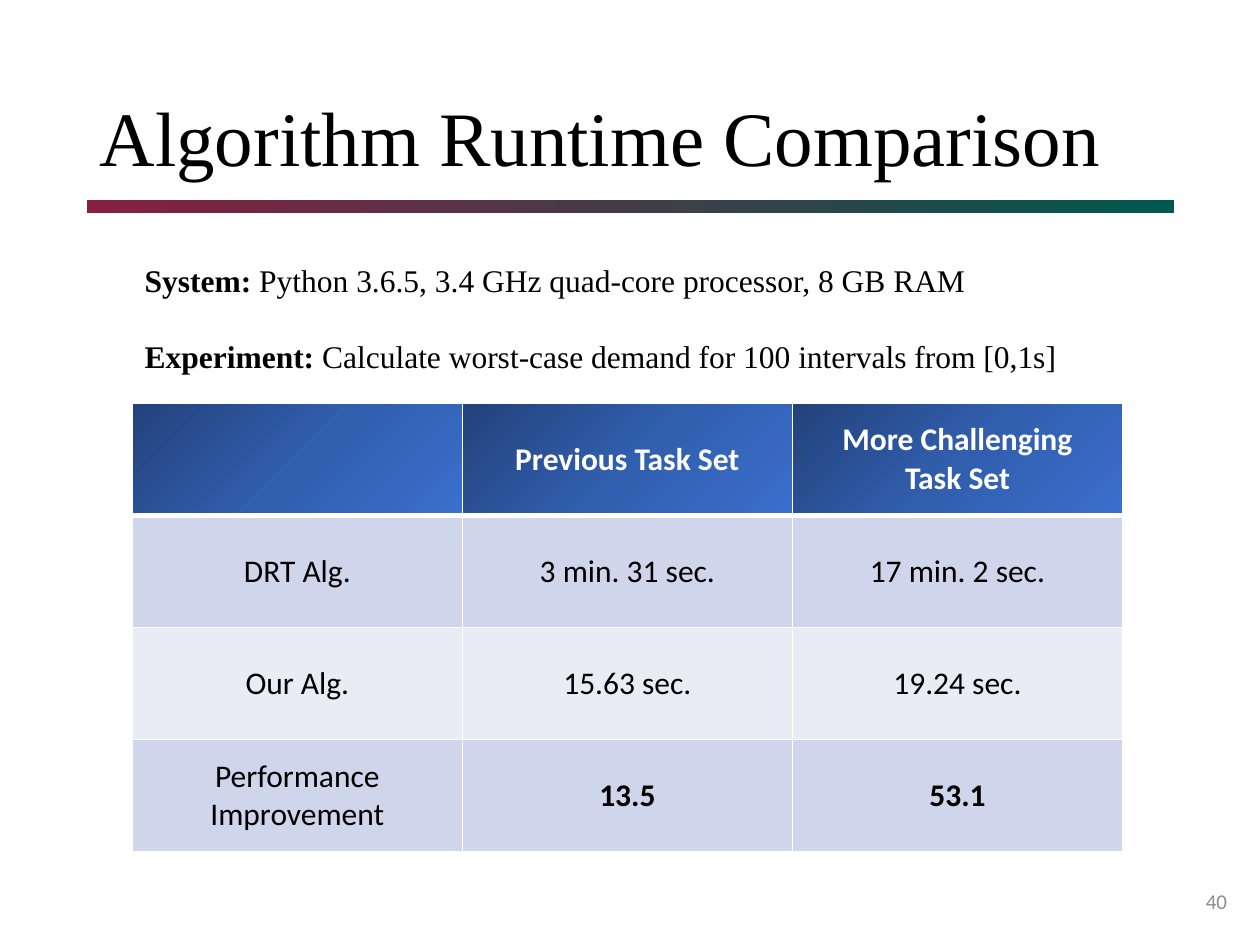
from copy import deepcopy

from lxml.etree import SubElement
from pptx import Presentation
from pptx.dml.color import RGBColor
from pptx.enum.shapes import MSO_SHAPE as Shape
from pptx.enum.text import MSO_ANCHOR as Anchor, MSO_AUTO_SIZE as AutoSize, PP_ALIGN as Align
from pptx.oxml.ns import qn
from pptx.util import Inches, Pt

BLACK = RGBColor(0x00, 0x00, 0x00)
WHITE = RGBColor(0xFF, 0xFF, 0xFF)
GRAY = RGBColor(0x8C, 0x8C, 0x8C)
BAR_COLORS = [RGBColor(0x86, 0x1F, 0x41), RGBColor(0x00, 0x59, 0x4F)]
HEADER_COLORS = [RGBColor(0x23, 0x42, 0x7A), RGBColor(0x31, 0x5E, 0xAD), RGBColor(0x3A, 0x6F, 0xCE)]
BAND_COLORS = [RGBColor(0xE9, 0xEB, 0xF5), RGBColor(0xCF, 0xD5, 0xEA)]
SERIF, SANS = "Times New Roman", "Calibri"

# Shared grid
MARGIN, CONTENT_LEFT = Inches(0.69), Inches(1.05)
COLUMN, ROW = Inches(2.62), Inches(0.89)


def set_gradient(fill, properties, colors, angle):
    """Spread the colours evenly; the angle runs counter-clockwise."""
    fill.gradient()
    fill.gradient_angle = angle
    stop_list = properties.find(".//" + qn("a:gsLst"))
    for _ in colors[2:]:
        stop_list.append(deepcopy(stop_list[-1]))
    for index, (stop, color) in enumerate(zip(fill.gradient_stops, colors)):
        stop.position = index / (len(colors) - 1)
        stop.color.rgb = color


def style_font(font, name, size, color, bold=False):
    font.name, font.size, font.bold = name, Pt(size), bold
    font.color.rgb = color


presentation = Presentation()
presentation.slide_width, presentation.slide_height = Inches(10), Inches(7.5)
slide = presentation.slides.add_slide(presentation.slide_layouts[5])

# Title
title = slide.shapes.title
title.left, title.top, title.width, title.height = MARGIN, Inches(0.4), Inches(8.62), Inches(1.45)
title.text_frame.text = "Algorithm Runtime Comparison"
title.text_frame.auto_size = AutoSize.NONE
title.text_frame.vertical_anchor = Anchor.MIDDLE
paragraph = title.text_frame.paragraphs[0]
paragraph.alignment = Align.LEFT
paragraph.line_spacing = 0.9
style_font(paragraph.runs[0].font, SERIF, 44, BLACK)

# Bar under the title
bar = slide.shapes.add_shape(Shape.RECTANGLE, MARGIN, Inches(1.59), Inches(8.63), Inches(0.1))
bar.shadow.inherit = False
bar.line.fill.background()
set_gradient(bar.fill, bar.element.spPr, BAR_COLORS, 0)

# Runtime table
rows = [
    ["", "Previous Task Set", "More Challenging\nTask Set"],
    ["DRT Alg.", "3 min. 31 sec.", "17 min. 2 sec."],
    ["Our Alg.", "15.63 sec.", "19.24 sec."],
    ["Performance Improvement", "13.5", "53.1"],
]
last_row = len(rows) - 1
table = slide.shapes.add_table(4, 3, CONTENT_LEFT, Inches(3.2), 3 * COLUMN, 4 * ROW).table
for column in table.columns:
    column.width = COLUMN
for row_index, texts in enumerate(rows):
    table.rows[row_index].height = ROW
    for column_index, text in enumerate(texts):
        cell = table.cell(row_index, column_index)
        header = row_index == 0
        bold = header or (row_index == last_row and column_index > 0)
        cell.text = text
        cell.vertical_anchor = Anchor.MIDDLE
        for paragraph in cell.text_frame.paragraphs:
            paragraph.alignment = Align.CENTER
            style_font(paragraph.font, SANS, 18, WHITE if header else BLACK, bold)
            for run in paragraph.runs:
                style_font(run.font, SANS, 18, WHITE if header else BLACK, bold)

        # Borders come before the fill, with a thick rule around the header's foot
        properties = cell._tc.get_or_add_tcPr()
        for side in ("L", "R", "T", "B"):
            thick = (header and side == "B") or (row_index == 1 and side == "T")
            border = SubElement(properties, qn("a:ln" + side), w=str(Pt(3 if thick else 1)))
            solid = SubElement(border, qn("a:solidFill"))
            SubElement(solid, qn("a:srgbClr"), val=str(WHITE))
        if header:
            set_gradient(cell.fill, properties, HEADER_COLORS, 315)
        else:
            cell.fill.solid()
            cell.fill.fore_color.rgb = BAND_COLORS[row_index % 2]

# Test setup
setup = slide.shapes.add_textbox(CONTENT_LEFT, Inches(2.02), 3 * COLUMN, Inches(1.01))
frame = setup.text_frame
frame.word_wrap = True
setup_lines = [
    ("System:", " Python 3.6.5, 3.4 GHz quad-core processor, 8 GB RAM"),
    ("Experiment:", " Calculate worst-case demand for 100 intervals from [0,1s]"),
]
for index, (label, detail) in enumerate(setup_lines):
    paragraph = frame.add_paragraph() if index else frame.paragraphs[0]
    if index:
        paragraph.space_before = Pt(22)
    for text, bold in ((label, True), (detail, False)):
        run = paragraph.add_run()
        run.text = text
        style_font(run.font, SERIF, 18, BLACK, bold)

# Slide number
number = slide.shapes.add_textbox(Inches(9.31), Inches(6.95), MARGIN, Inches(0.4))
number.text_frame.word_wrap = True
number.text_frame.vertical_anchor = Anchor.MIDDLE
number.text_frame.text = "40"
paragraph = number.text_frame.paragraphs[0]
paragraph.alignment = Align.CENTER
style_font(paragraph.runs[0].font, SANS, 12, GRAY)

presentation.save("out.pptx")
